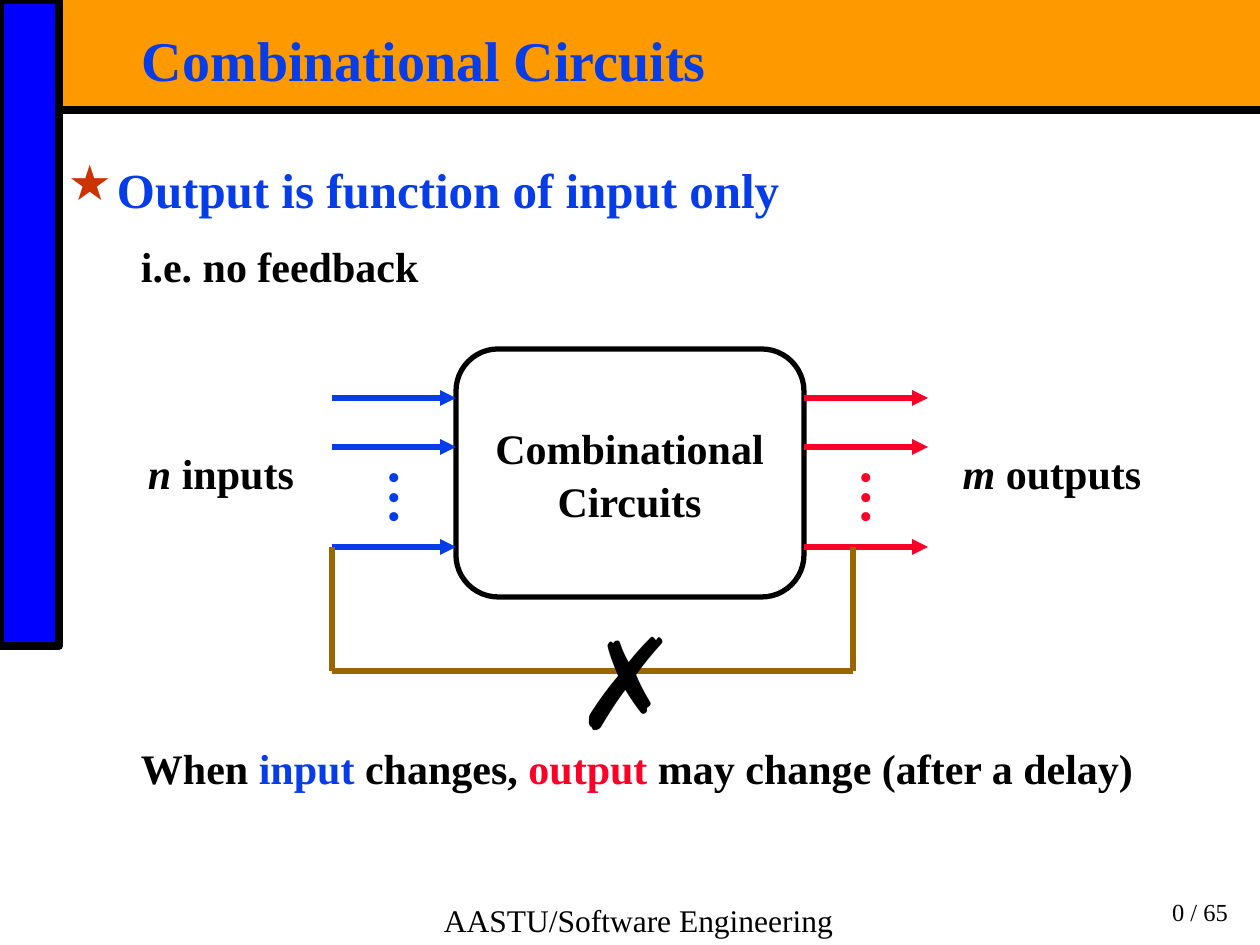
from dataclasses import dataclass
from typing import Optional

from lxml.etree import SubElement
from pptx import Presentation
from pptx.dml.color import RGBColor
from pptx.enum.shapes import MSO_CONNECTOR, MSO_SHAPE
from pptx.enum.text import MSO_ANCHOR, PP_ALIGN
from pptx.oxml.ns import qn
from pptx.util import Emu, Pt

EMU_PER_PX = 914400 / 126
SERIF = "Times New Roman"
SANS = "Arial"
BLACK = RGBColor(0x00, 0x00, 0x00)
ORANGE = RGBColor(0xFF, 0x99, 0x00)
SIDEBAR_BLUE = RGBColor(0x00, 0x00, 0xFF)
BLUE = RGBColor(0x06, 0x3D, 0xE8)
RED = RGBColor(0xFC, 0x01, 0x28)
BROWN = RGBColor(0x99, 0x66, 0x00)
STAR_RED = RGBColor(0xCC, 0x33, 0x00)

BLOCK_LEFT, BLOCK_TOP, BLOCK_WIDTH, BLOCK_HEIGHT = 456, 349, 348, 248
BLOCK_RIGHT = BLOCK_LEFT + BLOCK_WIDTH
ARROW_LENGTH = 124
ARROW_ROWS = (398, 447, 547)
FEEDBACK_Y = 671


@dataclass(frozen=True)
class Run:
    text: str
    size: int = 24
    color: RGBColor = BLACK
    bold: bool = True
    italic: bool = False
    font: str = SERIF


@dataclass(frozen=True)
class Line:
    runs: tuple[Run, ...]
    before: float = 0
    exact: Optional[float] = None
    margin: int = 0
    hanging: int = 0
    bullet: str = ""


@dataclass(frozen=True)
class Box:
    left: int
    top: int
    width: int
    height: int
    lines: tuple[Line, ...]
    align: PP_ALIGN = PP_ALIGN.CENTER
    anchor: MSO_ANCHOR = MSO_ANCHOR.TOP
    inset_x: int = 0
    inset_y: int = 0


@dataclass(frozen=True)
class Port:
    """One side of the block: its arrows, dots and label."""
    left: int
    color: RGBColor
    symbol: str
    noun: str
    label_left: int
    label_width: int


PORTS = (
    Port(BLOCK_LEFT - ARROW_LENGTH, BLUE, "n", " inputs", 134, 174),
    Port(BLOCK_RIGHT, RED, "m", " outputs", 953, 198),
)

BODY = (
    Line((Run("Output is function of input only", 28, BLUE),), margin=49, hanging=49, bullet="★"),
    Line((Run("i.e. no feedback"),), before=13, margin=73),
    Line((Run("When "), Run("input", color=BLUE), Run(" changes, "), Run("output", color=RED),
          Run(" may change (after a delay)")), before=258, margin=73),
)

TEXTS = (
    Box(1076, 892, 165, 40, (Line((Run("0 / 65", 14, bold=False),)),),
        PP_ALIGN.RIGHT, MSO_ANCHOR.BOTTOM, 13, 6),
    Box(133, 26, 1091, 66, (Line((Run("Combinational Circuits", 32, BLUE),)),),
        PP_ALIGN.LEFT, MSO_ANCHOR.MIDDLE, 9, 4),
    Box(59, 155, 1142, 664, BODY, PP_ALIGN.LEFT, inset_x=9, inset_y=4),
    Box(481, 423, 297, 98, (Line((Run("Combinational"),)), Line((Run("Circuits"),), before=1.5))),
    Box(432, 895, 456, 40, (Line((Run("AASTU/Software Engineering", 18, bold=False),)),),
        PP_ALIGN.LEFT, inset_x=12, inset_y=6),
)
CROSS = Box(566, 604, 123, 136, (Line((Run("✗", 72, font=SANS),)),))


def px(length: int) -> Emu:
    return Emu(round(length * EMU_PER_PX))


def add_bullet(properties, symbol: str) -> None:
    color = SubElement(SubElement(properties, qn("a:buClr")), qn("a:srgbClr"))
    color.set("val", str(STAR_RED))
    SubElement(properties, qn("a:buChar")).set("char", symbol)


def add_text(slide, box: Box) -> None:
    shape = slide.shapes.add_textbox(px(box.left), px(box.top), px(box.width), px(box.height))
    frame = shape.text_frame
    frame.word_wrap = True
    frame.vertical_anchor = box.anchor
    frame.margin_left = frame.margin_right = px(box.inset_x)
    frame.margin_top = frame.margin_bottom = px(box.inset_y)
    for index, line in enumerate(box.lines):
        paragraph = frame.add_paragraph() if index else frame.paragraphs[0]
        paragraph.alignment = box.align
        if line.before:
            paragraph.space_before = Pt(line.before)
        if line.exact:
            paragraph.line_spacing = Pt(line.exact)
        properties = paragraph._p.get_or_add_pPr()
        properties.set("marL", str(px(line.margin)))
        properties.set("indent", str(px(-line.hanging)))
        if line.bullet:
            add_bullet(properties, line.bullet)
        for item in line.runs:
            run = paragraph.add_run()
            run.text = item.text
            run.font.name = item.font
            run.font.size = Pt(item.size)
            run.font.bold = item.bold
            run.font.italic = item.italic
            run.font.color.rgb = item.color


def add_block(slide, kind: MSO_SHAPE, left: int, top: int, width: int, height: int,
              fill: Optional[RGBColor] = None, line_width: float = 0):
    shape = slide.shapes.add_shape(kind, px(left), px(top), px(width), px(height))
    shape.shadow.inherit = False
    if fill is None:
        shape.fill.background()
    else:
        shape.fill.solid()
        shape.fill.fore_color.rgb = fill
    if line_width:
        shape.line.color.rgb = BLACK
        shape.line.width = Pt(line_width)
    else:
        shape.line.fill.background()
    return shape


def add_line(slide, start: tuple[int, int], end: tuple[int, int], color: RGBColor,
             width: float = 3, arrow: bool = False) -> None:
    connector = slide.shapes.add_connector(
        MSO_CONNECTOR.STRAIGHT, px(start[0]), px(start[1]), px(end[0]), px(end[1]))
    connector.line.color.rgb = color
    connector.line.width = Pt(width)
    if arrow:
        SubElement(connector.line._get_or_add_ln(), qn("a:tailEnd")).set("type", "triangle")
    SubElement(connector._element.spPr, qn("a:effectLst"))


def add_port(slide, port: Port) -> None:
    for y in ARROW_ROWS:
        add_line(slide, (port.left, y), (port.left + ARROW_LENGTH, y), port.color, arrow=True)
    dot = Line((Run("•", 18, port.color, font=SANS),), exact=11)
    add_text(slide, Box(port.left + ARROW_LENGTH // 2 - 13, 476, 26, 57, (dot,) * 3))
    label = Line((Run(port.symbol, italic=True), Run(port.noun)))
    add_text(slide, Box(port.label_left, 447, port.label_width, 46, (label,)))


def add_feedback(slide) -> None:
    left, right = BLOCK_LEFT - ARROW_LENGTH, 853
    corners = ((right, ARROW_ROWS[-1]), (right, FEEDBACK_Y),
               (left, FEEDBACK_Y), (left, ARROW_ROWS[-1]))
    for start, end in zip(corners, corners[1:]):
        add_line(slide, start, end, BROWN)


def main() -> None:
    presentation = Presentation()
    presentation.slide_width, presentation.slide_height = px(1260), px(945)
    slide = presentation.slides.add_slide(presentation.slide_layouts[6])
    add_block(slide, MSO_SHAPE.RECTANGLE, 59, 0, 1201, 106, ORANGE)
    add_block(slide, MSO_SHAPE.RECTANGLE, 0, 0, 59, 646, SIDEBAR_BLUE, 4.5)
    add_line(slide, (59, 110), (1260, 110), BLACK, 4.5)
    block = add_block(slide, MSO_SHAPE.ROUNDED_RECTANGLE, BLOCK_LEFT, BLOCK_TOP,
                      BLOCK_WIDTH, BLOCK_HEIGHT, line_width=3)
    block.adjustments[0] = 0.17
    for port in PORTS:
        add_port(slide, port)
    for box in TEXTS:
        add_text(slide, box)
    add_feedback(slide)
    add_text(slide, CROSS)
    presentation.save("out.pptx")


if __name__ == "__main__":
    main()
